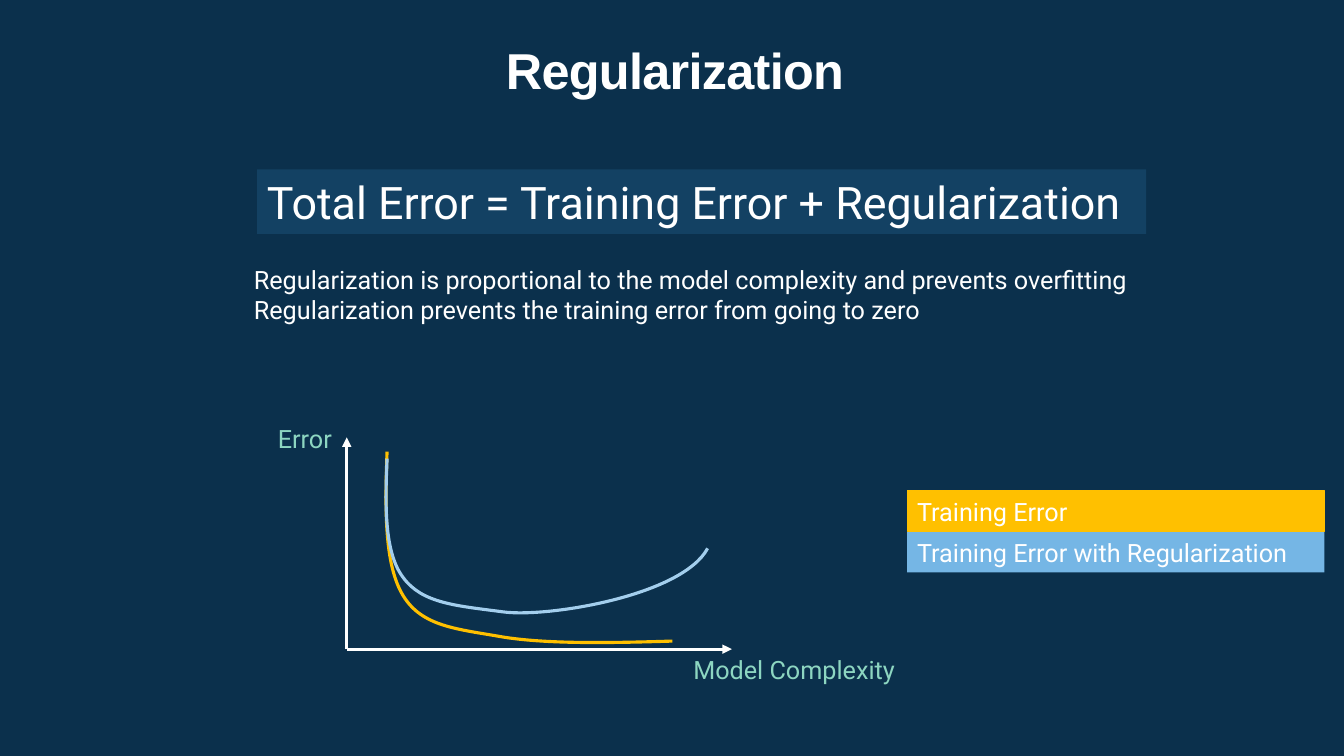
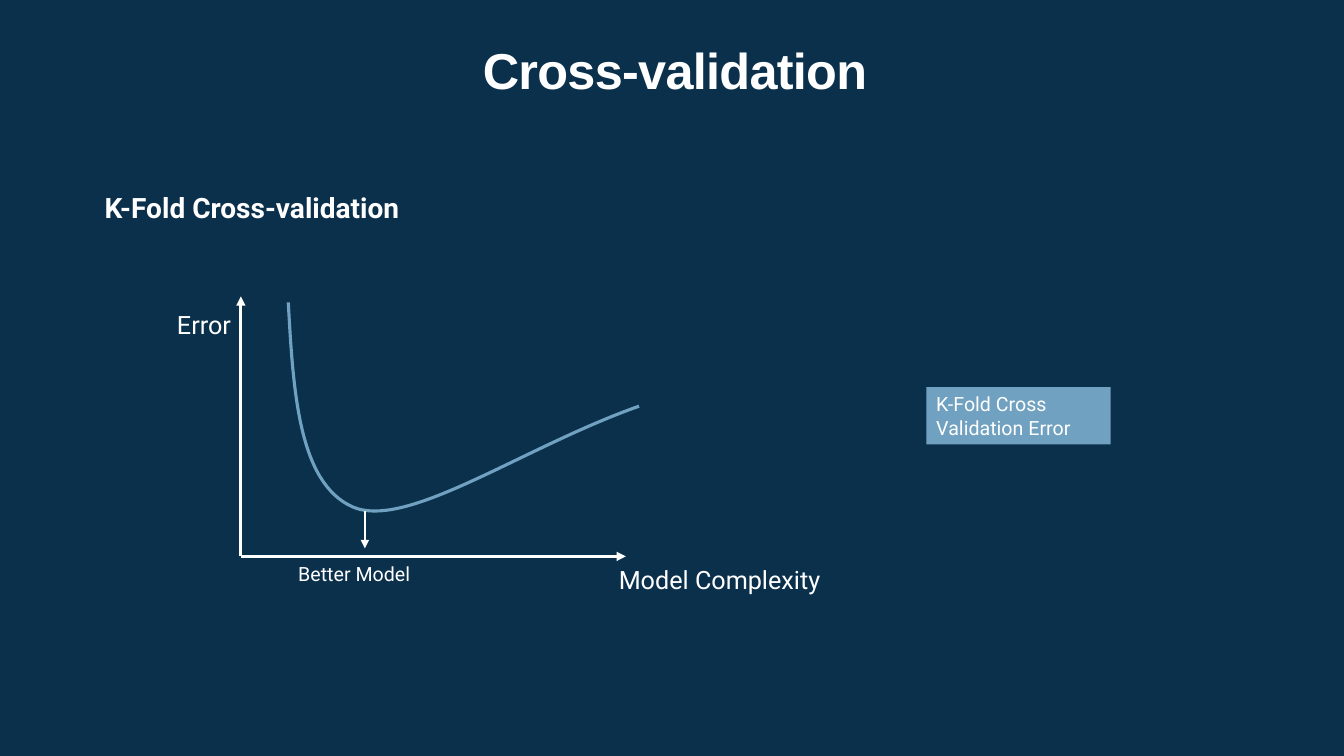
from lxml.etree import Element, SubElement
from pptx import Presentation
from pptx.dml.color import RGBColor
from pptx.enum.shapes import MSO_CONNECTOR, MSO_SHAPE
from pptx.enum.text import MSO_ANCHOR, PP_ALIGN
from pptx.oxml.ns import qn
from pptx.util import Inches, Pt

COLORS = {
    "navy": "0B304C",
    "panel": "134163",
    "white": "FFFFFF",
    "mint": "8DD6C1",
    "amber": "FFC000",
    "sky": "75B6E5",
    "pale": "A3CEED",
    "steel": "70A1C0",
}
RGB = {name: RGBColor.from_string(value) for name, value in COLORS.items()}


def add_text(s, text, x, y, w, h, size=18, color="white", fill=None,
             align=PP_ALIGN.LEFT, font="Roboto", bold=False):
    box = [Inches(v) for v in (x, y, w, h)]
    if fill:
        sp = s.shapes.add_shape(MSO_SHAPE.RECTANGLE, *box)
        sp.shadow.inherit = False
        sp.fill.solid()
        sp.fill.fore_color.rgb = RGB[fill]
        sp.line.fill.background()
    else:
        sp = s.shapes.add_textbox(*box)
    tf = sp.text_frame
    tf.word_wrap = True
    tf.vertical_anchor = MSO_ANCHOR.TOP
    tf.text = text
    for p in tf.paragraphs:
        p.alignment = align
        p.font.name = font
        p.font.size = Pt(size)
        p.font.bold = bold
        p.font.color.rgb = RGB[color]
    return sp


def add_arrow(s, x1, y1, x2, y2, width=2.25):
    cx = s.shapes.add_connector(
        MSO_CONNECTOR.STRAIGHT, Inches(x1), Inches(y1), Inches(x2), Inches(y2))
    cx.line.color.rgb = RGB["white"]
    cx.line.width = Pt(width)
    SubElement(cx.line._get_or_add_ln(), qn("a:tailEnd"), type="triangle")
    SubElement(cx._element.spPr, qn("a:effectLst"))


prs = Presentation()
prs.slide_width = Inches(40 / 3)
prs.slide_height = Inches(7.5)
bg = prs.slide_master.background.fill
bg.solid()
bg.fore_color.rgb = RGB["navy"]

slides = []
for title in ("Regularization", "Cross-validation"):
    s = prs.slides.add_slide(prs.slide_layouts[6])
    sp = add_text(s, title, 1.44, 0.43, 10.51, 1.23, 36,
                  align=PP_ALIGN.CENTER, font="Arial", bold=True)
    p = sp.text_frame.paragraphs[0]
    p.line_spacing = 0.85
    p.runs[0].font._element.set("spc", "-50")
    slides.append(s)
regularization, validation = slides

for s, x, y, top in ((regularization, 3.44, 6.44, 4.34), (validation, 2.39, 5.52, 2.94)):
    add_arrow(s, x, y, x + 3.82, y)
    add_arrow(s, x, y, x, top)

curves = [
    (regularization, "amber", (3.84, 4.48), [
        ((3.82, 5.04), (3.81, 5.6), (4, 5.91)),
        ((4.19, 6.22), (4.54, 6.24), (4.99, 6.32)),
        ((5.43, 6.39), (6.05, 6.38), (6.67, 6.36))]),
    (regularization, "pale", (3.84, 4.55), [
        ((3.82, 5.01), (3.81, 5.48), (4, 5.73)),
        ((4.19, 5.99), (4.54, 6.01), (4.99, 6.07)),
        ((5.43, 6.13), (6.77, 5.91), (7.02, 5.44))]),
    (validation, "steel", (2.86, 3), [
        ((2.91, 3.88), (2.96, 4.79), (3.5, 5.03)),
        ((4.04, 5.26), (5.18, 4.44), (6.34, 4.03))]),
]
for s, color, start, segments in curves:
    builder = s.shapes.build_freeform(Inches(start[0]), Inches(start[1]))
    builder.add_line_segments(
        [(Inches(x), Inches(y)) for _, _, (x, y) in segments], close=False)
    sp = builder.convert_to_shape()
    for straight, segment in zip(list(sp._element.iter(qn("a:lnTo"))), segments):
        bezier = Element(qn("a:cubicBezTo"))
        for x, y in segment:
            SubElement(bezier, qn("a:pt"),
                       x=str(Inches(x) - sp.left), y=str(Inches(y) - sp.top))
        straight.getparent().replace(straight, bezier)
    sp.shadow.inherit = False
    sp.fill.background()
    sp.line.color.rgb = RGB[color]
    sp.line.width = Pt(2.25)

s = regularization
add_text(s, "Total Error = Training Error + Regularization",
         2.55, 1.68, 8.82, 0.64, 32, fill="panel")
add_text(s, "Regularization is proportional to the model complexity and prevents overfitting\n"
            "Regularization prevents the training error from going to zero",
         2.42, 2.57, 9.09, 0.71)
add_text(s, "Model Complexity", 6.78, 6.44, 2.22, 0.4, color="mint")
add_text(s, "Error", 2.44, 4.15, 0.95, 0.4, color="mint", align=PP_ALIGN.RIGHT)
sp = add_text(s, "Training Error", 9, 4.87, 4.14, 0.4, fill="amber")
sp.line.color.rgb = RGB["amber"]
sp.line.width = Pt(0.75)
add_text(s, "Training Error with Regularization", 9, 5.28, 4.14, 0.4, fill="sky")

s = validation
sp = add_text(s, "K-Fold Cross-validation", 0.84, 1.88, 7.97, 1.53, 20, bold=True)
p = sp.text_frame.paragraphs[0]
p.line_spacing = 0.9
p._p.get_or_add_pPr().set("marL", str(Inches(0.1)))
add_text(s, "Model Complexity", 6.04, 5.55, 2.22, 0.4)
add_text(s, "Error", 1.44, 3.02, 0.95, 0.4, align=PP_ALIGN.RIGHT)
add_text(s, "K-Fold Cross Validation Error", 9.19, 3.84, 1.83, 0.57, 14, fill="steel")
add_arrow(s, 3.62, 5.07, 3.62, 5.44, 1)
add_text(s, "Better Model", 2.86, 5.53, 1.32, 0.34, 14)

prs.save("out.pptx")
